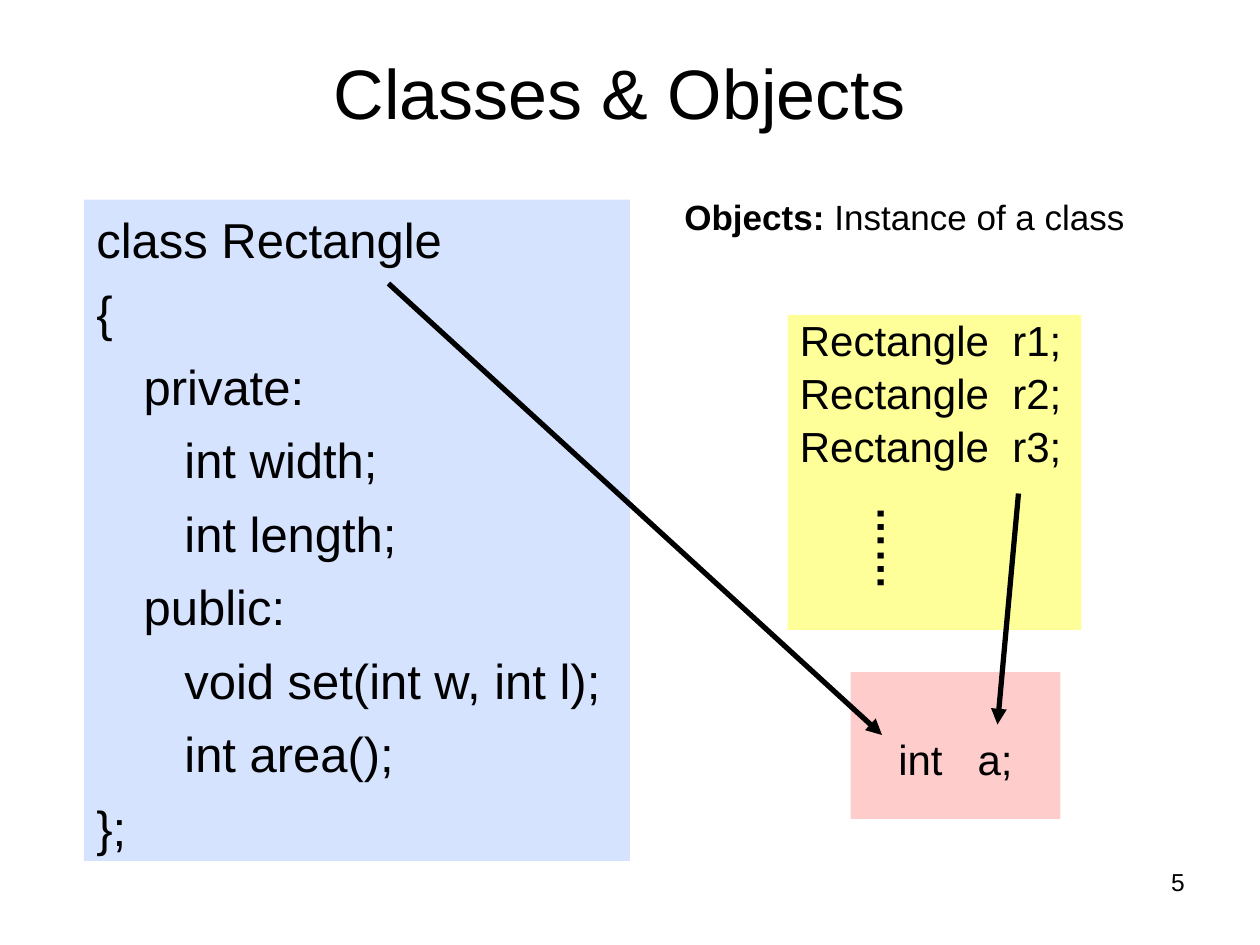
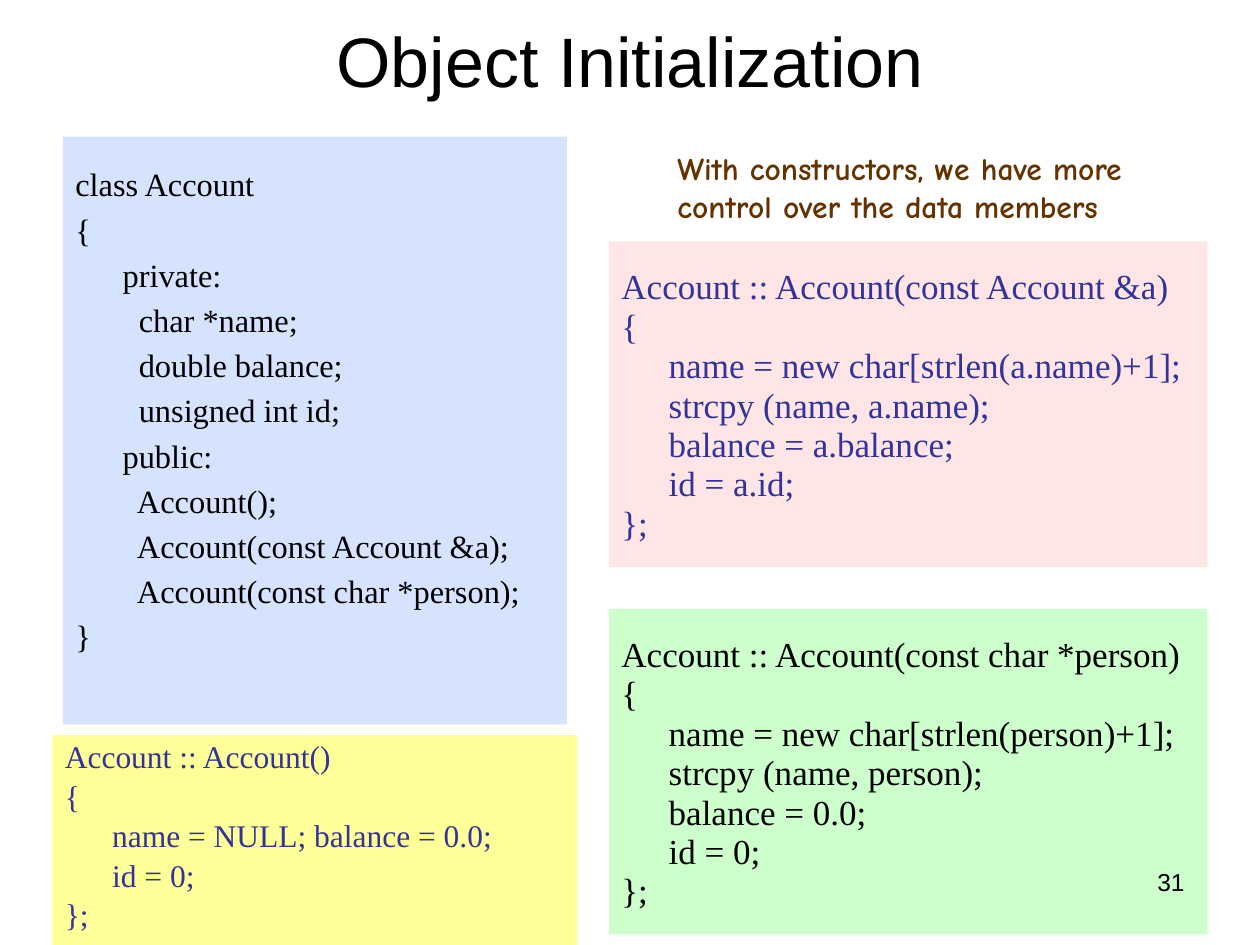
from lxml import etree
from pptx import Presentation
from pptx.dml.color import RGBColor
from pptx.enum.shapes import MSO_CONNECTOR as Connector, MSO_SHAPE as Preset
from pptx.enum.text import MSO_ANCHOR as Anchor, PP_ALIGN as Align
from pptx.oxml.ns import qn
from pptx.util import Pt

# Shared look
BLACK, INDIGO, BROWN = "000000", "333399", "663300"
BLUE, YELLOW, ROSE, PINK, GREEN = "D5E3FF", "FFFF99", "FFCCCC", "FFE5E5", "CCFFCC"
SANS, SERIF, HAND = "Arial", "Times New Roman", "Comic Neue"
PAGE = (0, 0, 720, 540)
TAB_INDENT = 27

CLASS_RECTANGLE = """class Rectangle
{
\tprivate:
\t   int width;
\t   int length;
\tpublic:
\t   void set(int w, int l);
\t   int area();
};"""

RECTANGLE_OBJECTS = """Rectangle  r1;
Rectangle  r2;
Rectangle  r3;"""

CLASS_ACCOUNT = """class Account
{
\tprivate:
\t  char *name;
\t  double balance;
\t  unsigned int id;
\tpublic:
\t  Account();
\t  Account(const Account &a);
\t  Account(const char *person);
}"""

DEFAULT_CONSTRUCTOR = """Account :: Account()
{
\tname = NULL; balance = 0.0;
\tid = 0;
};"""

COPY_CONSTRUCTOR = """Account :: Account(const Account &a)
{
\tname = new char[strlen(a.name)+1];
\tstrcpy (name, a.name);
\tbalance = a.balance;
\tid = a.id;
};"""

PERSON_CONSTRUCTOR = """Account :: Account(const char *person)
{
\tname = new char[strlen(person)+1];
\tstrcpy (name, person);
\tbalance = 0.0;
\tid = 0;
};"""


def color(value):
    return RGBColor.from_string(value)


def within(area, left, top, width, height):
    """Box at an offset from the corner of an area."""
    return area[0] + left, area[1] + top, width, height


def set_attributes(target, formats):
    for name, value in formats.items():
        setattr(target, name, value)


def add_run(paragraph, text, size, font=SANS, ink=BLACK, bold=False):
    run = paragraph.add_run()
    run.text = text
    set_attributes(run.font, {"name": font, "size": Pt(size), "bold": bold})
    run.font.color.rgb = color(ink)


def set_frame(frame, top_inset=3.6, anchor=Anchor.TOP, wrap=True):
    set_attributes(frame, {
        "margin_left": Pt(7.2), "margin_right": Pt(7.2),
        "margin_top": Pt(top_inset), "margin_bottom": Pt(3.6),
        "vertical_anchor": anchor, "word_wrap": wrap})


def add_label(slide, box, runs, align=Align.LEFT, anchor=Anchor.TOP, wrap=True):
    """Text box; runs holds one list of (text, format) pairs per paragraph."""
    shape = slide.shapes.add_textbox(*map(Pt, box))
    frame = shape.text_frame
    set_frame(frame, anchor=anchor, wrap=wrap)
    for index, line in enumerate(runs):
        paragraph = frame.add_paragraph() if index else frame.paragraphs[0]
        paragraph.alignment = align
        for text, formats in line:
            add_run(paragraph, text, **formats)
    return shape


def add_code(slide, box, fill, code, size, font=SANS, ink=BLACK,
             spacing=1.0, gap=0, top_inset=3.6, align=Align.LEFT):
    """Filled panel of code; a leading tab marks an indented line."""
    shape = slide.shapes.add_shape(Preset.RECTANGLE, *map(Pt, box))
    shape.shadow.inherit = False
    shape.fill.solid()
    shape.fill.fore_color.rgb = color(fill)
    shape.line.fill.background()
    frame = shape.text_frame
    set_frame(frame, top_inset)
    for index, line in enumerate(code.split("\n")):
        paragraph = frame.add_paragraph() if index else frame.paragraphs[0]
        set_attributes(paragraph, {
            "alignment": align, "line_spacing": spacing,
            "space_before": Pt(gap if index else 0)})
        if line.startswith("\t"):
            properties = paragraph._p.get_or_add_pPr()
            properties.set("marL", str(Pt(TAB_INDENT)))
            properties.set("indent", "0")
        add_run(paragraph, line.removeprefix("\t"), size, font, ink)


def add_arrow(slide, area, start, end):
    points = [area[axis] + point[axis] for point in (start, end) for axis in (0, 1)]
    arrow = slide.shapes.add_connector(Connector.STRAIGHT, *map(Pt, points))
    arrow.line.color.rgb = color(BLACK)
    arrow.line.width = Pt(3)
    etree.SubElement(arrow.line._get_or_add_ln(), qn("a:tailEnd"), type="triangle")
    etree.SubElement(arrow._element.spPr, qn("a:effectLst"))


def add_page(presentation, area, title, title_box, number):
    """Blank slide with the shared title and page number."""
    slide = presentation.slides.add_slide(presentation.slide_layouts[6])
    add_label(slide, within(area, *title_box), [[(title, {"size": 40})]],
              Align.CENTER, Anchor.MIDDLE)
    return slide, lambda: add_label(
        slide, within(area, 516, 492, 168, 37.5),
        [[(str(number), {"size": 14})]], Align.RIGHT)


def build_classes_slide(presentation, area):
    slide, add_number = add_page(
        presentation, area, "Classes & Objects", (30, 27, 648, 50), 5)

    # Class definition
    add_code(slide, within(area, 48, 114, 312, 378), BLUE, CLASS_RECTANGLE,
             28, gap=8.4, top_inset=5.5)

    # Instances, with dots running down
    tight = {"size": 24, "spacing": 0.8, "gap": 7.1}
    add_code(slide, within(area, 450, 180, 168, 180), YELLOW, RECTANGLE_OBJECTS,
             top_inset=5.5, **tight)
    dots = add_label(slide, within(area, 486, 282, 43.2, 66),
                     [[("……", {"size": 24, "bold": True})]])
    set_attributes(dots.text_frame, {
        "margin_left": Pt(3.6), "margin_right": Pt(3.6),
        "margin_top": Pt(7.2), "margin_bottom": Pt(7.2)})
    dots.text_frame._txBody.bodyPr.set("vert", "eaVert")

    # Built-in type and the arrows to it
    add_code(slide, within(area, 486, 384, 120, 84), ROSE, "int   a;",
             top_inset=41, align=Align.CENTER, **tight)
    add_arrow(slide, area, (222, 162), (504, 420))
    add_arrow(slide, area, (582, 282), (570, 414))

    # Definition of objects
    add_label(slide, within(area, 384, 108, 282, 32), [[
        ("Objects:", {"size": 20, "bold": True}),
        (" Instance of a class", {"size": 20})]])
    add_number()


def build_initialization_slide(presentation, area):
    slide, add_number = add_page(
        presentation, area, "Object Initialization", (36, 6, 648, 56), 31)

    # Class definition and default constructor
    add_code(slide, within(area, 36, 78, 288, 336), BLUE, CLASS_ACCOUNT,
             18.5, SERIF, spacing=0.9, gap=5.8, top_inset=18.5)
    add_code(slide, within(area, 30, 420, 300, 120), YELLOW, DEFAULT_CONSTRUCTOR,
             18, SERIF, INDIGO, spacing=0.8, gap=5.3, top_inset=5.5)

    # Remark
    remark = {"size": 18, "font": HAND, "ink": BROWN, "bold": True}
    add_label(slide, within(area, 380, 81.5, 276, 50), [
        [("With constructors, we have more", remark)],
        [("control over the data members", remark)]], wrap=False)

    # Constructors with a parameter
    panels = [(PINK, COPY_CONSTRUCTOR, INDIGO), (GREEN, PERSON_CONSTRUCTOR, BLACK)]
    for row, (fill, code, ink) in enumerate(panels):
        add_code(slide, within(area, 348, 138 + 210 * row, 342, 186), fill, code,
                 20, SERIF, ink, spacing=0.7, gap=5.7, top_inset=20)
    add_number()


def main():
    presentation = Presentation()
    presentation.slide_width, presentation.slide_height = map(Pt, PAGE[2:])
    build_classes_slide(presentation, PAGE)
    build_initialization_slide(presentation, PAGE)
    presentation.save("out.pptx")


if __name__ == "__main__":
    main()
